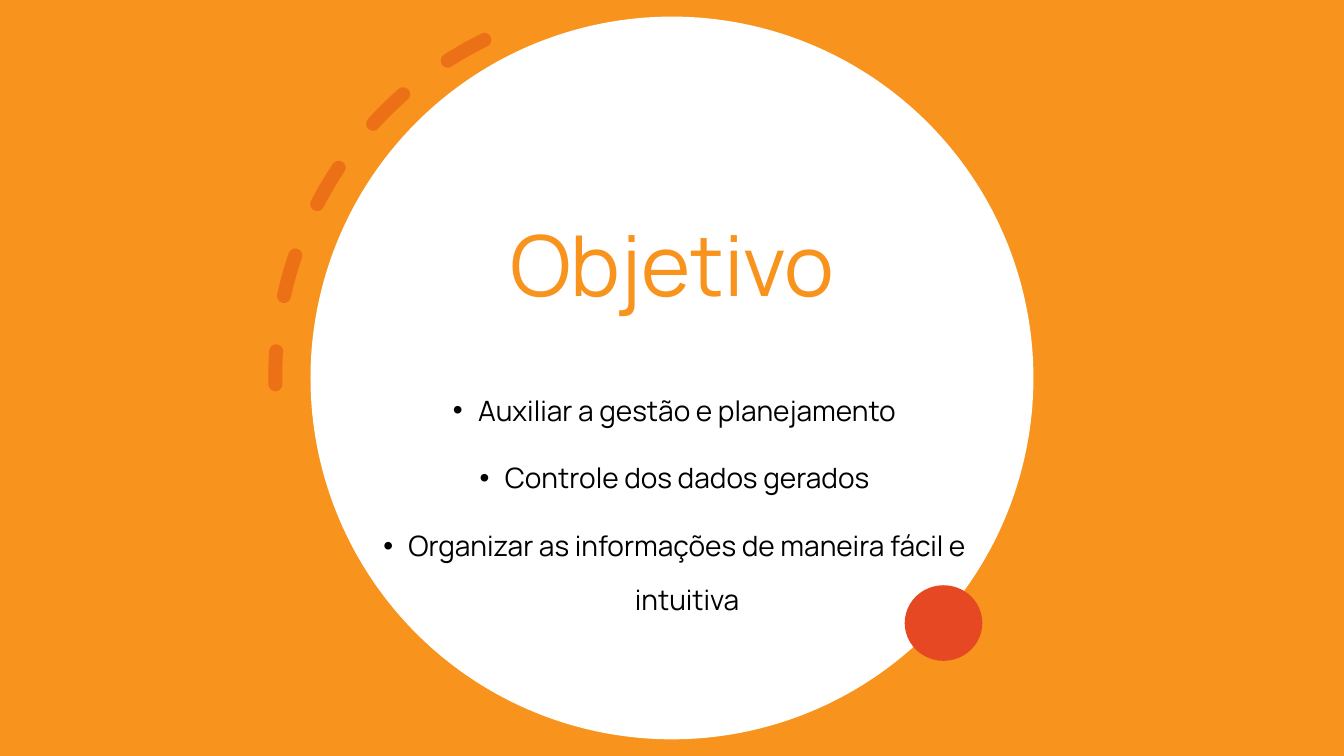
import pptx
import pptx.dml.color
import pptx.enum.dml
import pptx.enum.shapes
import pptx.enum.text
import pptx.oxml
import pptx.oxml.ns
import pptx.util
import lxml.etree

WIDTH, HEIGHT = 13.33, 7.5
FONT = "Manrope"
ORANGE, DARK_ORANGE, RED = "F8931D", "EC7016", "E64823"
WHITE, BLACK = "FFFFFF", "000000"
GOALS = [
    "Auxiliar a gestão e planejamento",
    "Controle dos dados gerados",
    "Organizar as informações de maneira fácil e intuitiva",
]
SHAPES = pptx.enum.shapes.MSO_SHAPE


def color(hex_text):
    return pptx.dml.color.RGBColor.from_string(hex_text)


def inches(box):
    return [pptx.util.Inches(length) for length in box]


def add_child(parent, tag, **attributes):
    return lxml.etree.SubElement(parent, pptx.oxml.ns.qn(tag), attributes)


def add_filled(slide, kind, box, fill):
    shape = slide.shapes.add_shape(kind, *inches(box))
    shape.shadow.inherit = False
    shape.fill.solid()
    shape.fill.fore_color.rgb = color(fill)
    shape.line.fill.background()
    return shape


def add_dashed_arc(slide, box):
    arc = slide.shapes.add_shape(SHAPES.ARC, *inches(box))
    arc.shadow.inherit = False
    arc.fill.background()
    arc.adjustments[0] = 162
    arc.adjustments[1] = 200.93
    arc.rotation = 153.7
    arc._element.spPr.find(pptx.oxml.ns.qn("a:xfrm")).set("flipV", "1")
    arc.line.color.rgb = color(DARK_ORANGE)
    arc.line.width = pptx.util.Pt(10)
    arc.line.dash_style = pptx.enum.dml.MSO_LINE.DASH
    line = arc.line._ln
    line.set("cap", "rnd")
    add_child(line.find(".//" + pptx.oxml.ns.qn("a:srgbClr")), "a:alpha", val="95000")


def add_text(slide, box, lines, size, text_color, anchor, spacing):
    frame = slide.shapes.add_textbox(*inches(box)).text_frame
    frame.word_wrap = True
    frame.vertical_anchor = anchor
    frame.text = "\n".join(lines)
    for paragraph in frame.paragraphs:
        paragraph.alignment = pptx.enum.text.PP_ALIGN.CENTER
        for name, value in spacing.items():
            setattr(paragraph, name, value)
        font = paragraph.runs[0].font
        for name, value in {"name": FONT, "size": pptx.util.Pt(size)}.items():
            setattr(font, name, value)
        font.color.rgb = color(text_color)
    return frame


def add_bullets(frame, indent):
    for paragraph in frame.paragraphs:
        properties = paragraph._p.get_or_add_pPr()
        properties.set("marL", str(pptx.util.Inches(indent)))
        properties.set("indent", str(-pptx.util.Inches(indent)))
        add_child(properties, "a:buFont", typeface="Arial")
        add_child(properties, "a:buChar", char="•")


def add_backdrop(slide, box):
    left, top, width, height = box
    add_filled(slide, SHAPES.RECTANGLE, box, ORANGE)
    diameter = 0.956 * height
    disc = (left + (width - diameter) / 2, top + (height - diameter) / 2, diameter, diameter)
    add_filled(slide, SHAPES.OVAL, disc, WHITE)


def add_objective(slide, box):
    left, top, width, height = box
    anchors = pptx.enum.text.MSO_ANCHOR
    add_text(slide, (left, top, width, 0.56 * height), ["Objetivo"], 60, ORANGE,
             anchors.BOTTOM, {"line_spacing": 0.9})
    goals = add_text(slide, (left + 0.02, top + 0.658 * height, width, 0.342 * height),
                     GOALS, 20, BLACK, anchors.TOP,
                     {"line_spacing": 1.6, "space_before": pptx.util.Pt(10)})
    add_bullets(goals, 0.25)


def add_accents(slide, box):
    left, top, width, height = box
    add_dashed_arc(slide, (left, top, width, height))
    add_filled(slide, SHAPES.OVAL,
               (left + 0.838 * width, top + 0.778 * height, 0.77, 0.75), RED)


def main():
    presentation = pptx.Presentation()
    presentation.slide_width, presentation.slide_height = inches((WIDTH, HEIGHT))
    slide = presentation.slides.add_slide(presentation.slide_layouts[6])
    add_backdrop(slide, (0, 0, WIDTH, HEIGHT))
    add_objective(slide, (3.63, 0.42, 6.08, 4.91))
    add_accents(slide, (2.73, 0.01, 7.45, 7.45))
    presentation.save("out.pptx")


if __name__ == "__main__":
    main()
